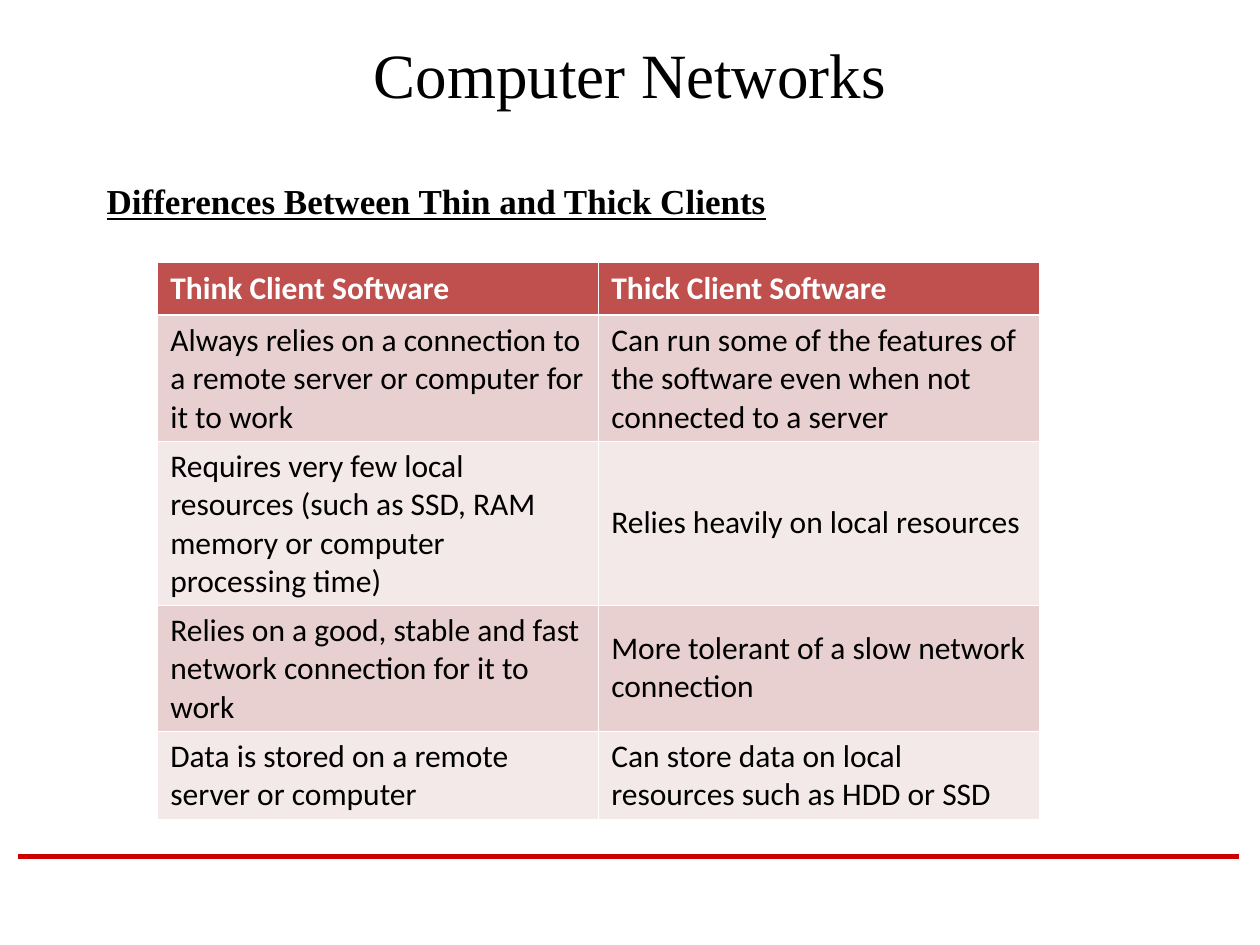
from lxml import etree
from pptx import Presentation
from pptx import util as u
from pptx.dml.color import RGBColor
from pptx.enum import shapes, text
from pptx.oxml.ns import qn

SERIF, SANS = "Times New Roman", "Calibri"
BLACK, WHITE, RED = "000000", "FFFFFF", "CC0000"
HEADER_FILL, BAND_FILLS = "C0504D", ("E8D0D0", "F4E9E9")
THIN, THICK = 0.45, 1.47

ROW_HEIGHTS = (1.06, 2.54, 3.3, 2.54, 1.78)
ROWS = (
    ("Think Client Software", "Thick Client Software"),
    ("Always relies on a connection to a remote server or computer for it to work",
     "Can run some of the features of the software even when not connected to a server"),
    ("Requires very few local resources (such as SSD, RAM memory or computer processing time)",
     "Relies heavily on local resources"),
    ("Relies on a good, stable and fast network connection for it to work",
     "More tolerant of a slow network connection"),
    ("Data is stored on a remote server or computer",
     "Can store data on local resources such as HDD or SSD"),
)


def color(value):
    return RGBColor.from_string(value)


def style(p, name, size, value, bold=False):
    p.font.name = name
    p.font.size = u.Pt(size)
    p.font.color.rgb = color(value)
    p.font.bold = bold


def add_text(slide, box, words, size, bold=False):
    """Add a one-paragraph text box and return its frame and paragraph."""
    tf = slide.shapes.add_textbox(*map(u.Cm, box)).text_frame
    tf.word_wrap = True
    p = tf.paragraphs[0]
    p.text = words
    style(p, SERIF, size, BLACK, bold)
    return tf, p


def add_rule(slide, x1, x2, y):
    line = slide.shapes.add_connector(
        shapes.MSO_CONNECTOR.STRAIGHT, u.Cm(x1), u.Cm(y), u.Cm(x2), u.Cm(y))
    line.line.color.rgb = color(RED)
    line.line.width = u.Pt(3)
    etree.SubElement(line._element.spPr, qn("a:effectLst"))


def set_borders(cell, top, bottom):
    tc_pr = cell._tc.get_or_add_tcPr()
    for side, width in zip("LRTB", (THIN, THIN, top, bottom)):
        ln = etree.SubElement(tc_pr, qn(f"a:ln{side}"), w=str(u.Pt(width)))
        fill = etree.SubElement(ln, qn("a:solidFill"))
        etree.SubElement(fill, qn("a:srgbClr"), val=WHITE)


def fill_cell(cell, words, row):
    header = row == 0
    # Borders must come before the fill in the cell properties
    set_borders(cell, THICK if row == 1 else THIN, THICK if header else THIN)
    cell.fill.solid()
    cell.fill.fore_color.rgb = color(HEADER_FILL if header else BAND_FILLS[(row - 1) % 2])
    cell.vertical_anchor = text.MSO_ANCHOR.MIDDLE
    p = cell.text_frame.paragraphs[0]
    p.text = words
    p.space_before = u.Pt(4.5)
    style(p, SANS, 18, WHITE if header else BLACK, header)


def add_comparison(slide, left, top, width):
    table = slide.shapes.add_table(
        len(ROWS), len(ROWS[0]), u.Cm(left), u.Cm(top),
        u.Cm(width), u.Cm(sum(ROW_HEIGHTS))).table
    for i, (height, words) in enumerate(zip(ROW_HEIGHTS, ROWS)):
        table.rows[i].height = u.Cm(height)
        for j, entry in enumerate(words):
            fill_cell(table.cell(i, j), entry, i)


def main():
    prs = Presentation()
    prs.slide_width, prs.slide_height = u.Cm(25.4), u.Cm(19.05)
    slide = prs.slides.add_slide(prs.slide_layouts[6])

    # Footer rule
    add_rule(slide, 0.36, 24.97, 17.27)

    # Title
    tf, p = add_text(slide, (1.9, 0.43, 21.6, 2.1), "Computer Networks", 36)
    tf.vertical_anchor = text.MSO_ANCHOR.MIDDLE
    p.alignment = text.PP_ALIGN.CENTER

    # Section heading
    tf, p = add_text(slide, (1.9, 3.6, 21.6, 12.9),
                     "Differences Between Thin and Thick Clients", 20, bold=True)
    p.font.underline = True
    p.line_spacing = 0.9
    p.space_before = u.Pt(5)

    # Comparison table
    add_comparison(slide, 3.18, 5.29, 17.78)

    prs.save("out.pptx")


if __name__ == "__main__":
    main()
